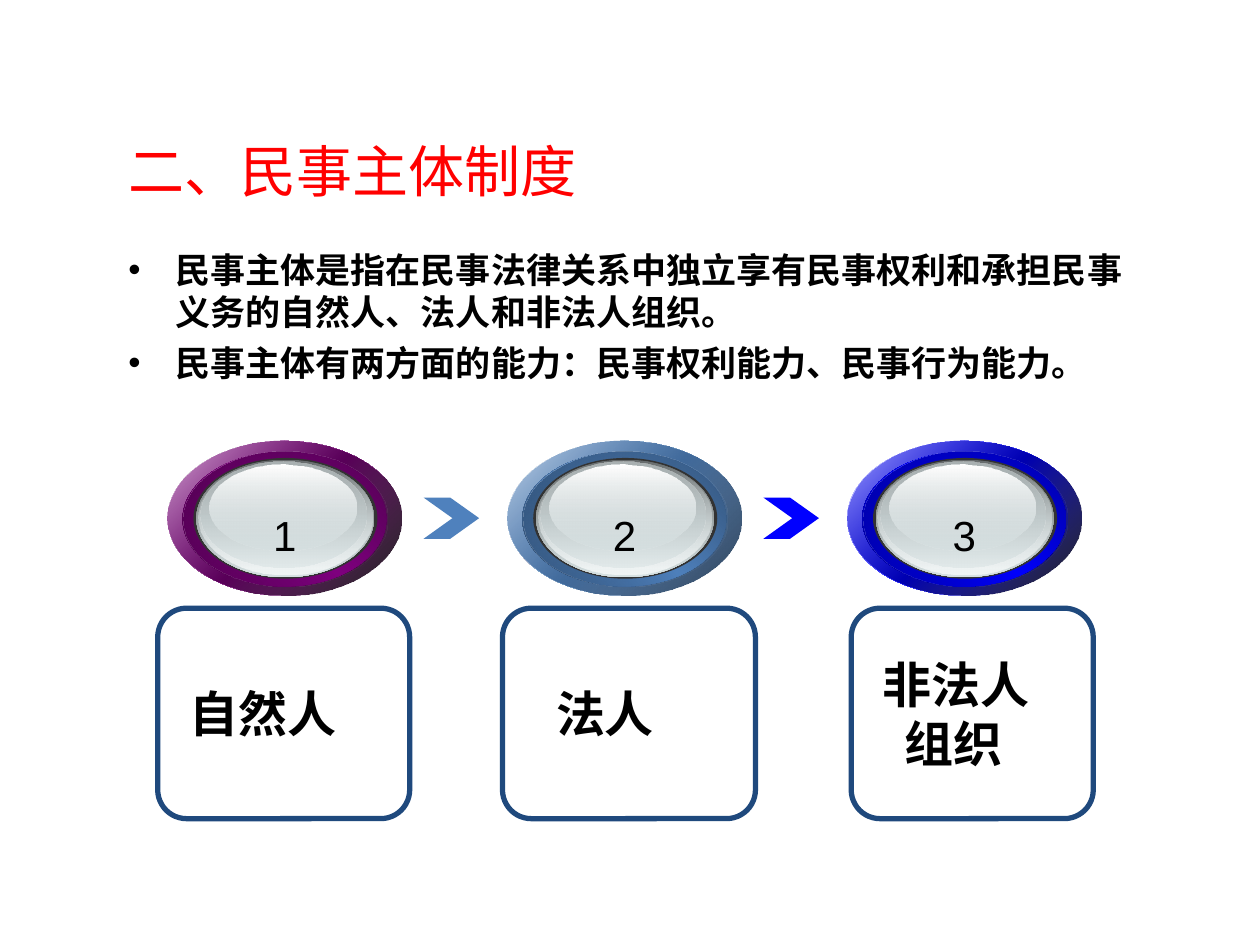
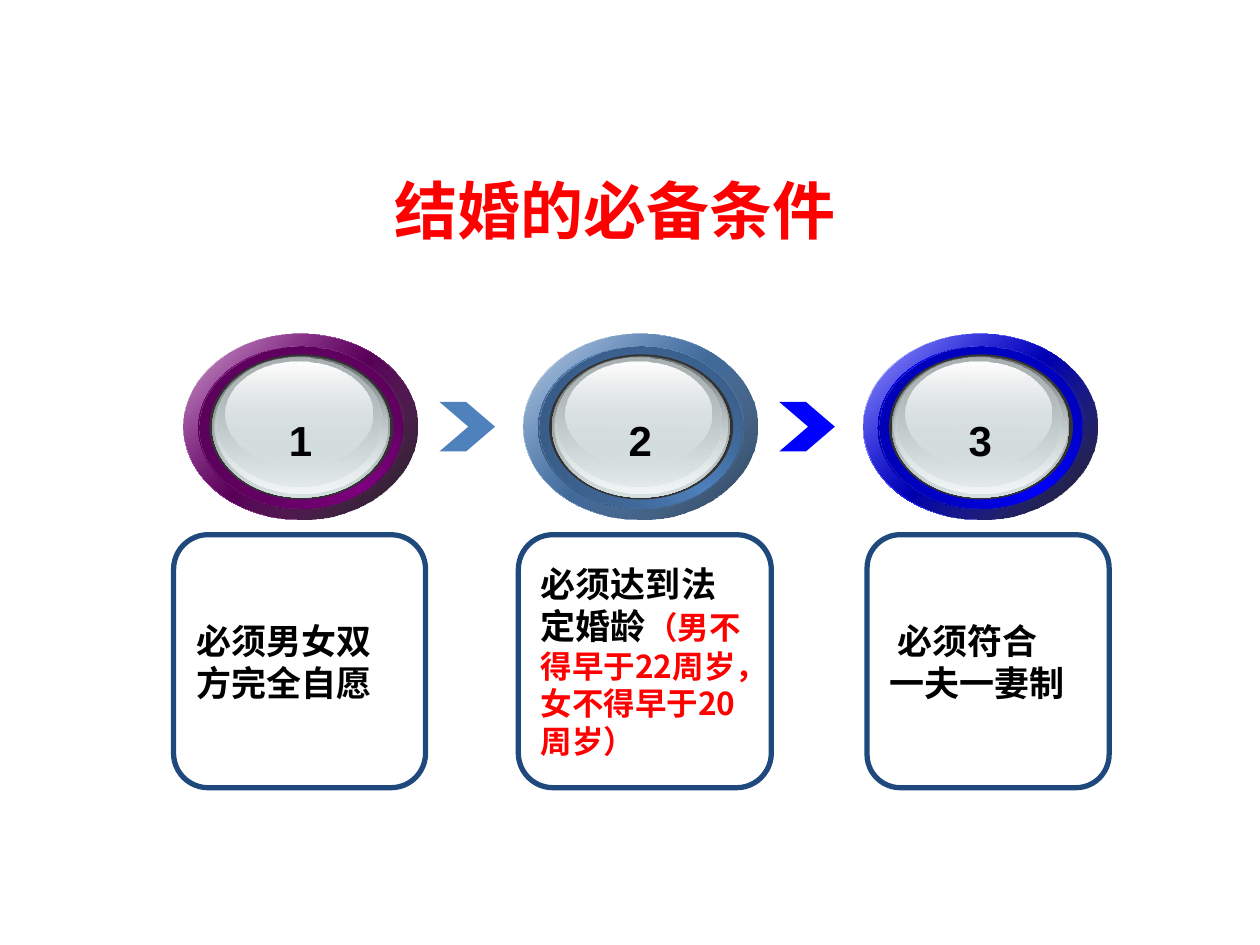
from lxml import etree
from pptx import Presentation
from pptx.dml.color import RGBColor
from pptx.enum.shapes import MSO_SHAPE
from pptx.enum.text import MSO_ANCHOR, PP_ALIGN
from pptx.oxml.ns import qn
from pptx.util import Cm, Pt

BLACK, RED, NAVY, RIM = "000000", "FF0000", "1F497D", "333333"
HEADING_FONT, BODY_FONT = "Arial", "Noto Sans CJK SC"

# Paragraph in a card: (left indent in cm, [(text, size, colour), ...])
SLIDES = [
    {
        "title": ("二、民事主体制度", 32, HEADING_FONT, False),
        "title_box": (2.34, 2.62, 9.55, 1.63),
        "bullets": [
            "民事主体是指在民事法律关系中独立享有民事权利和承担民事义务的自然人、法人和非法人组织。",
            "民事主体有两方面的能力：民事权利能力、民事行为能力。",
        ],
        "orbs": {"left": 3.38, "top": 8.89, "height": 3.12, "bold": False},
        "cards": [
            [(0.22, [("自然人", 28, BLACK)])],
            [(0.66, [("法人", 28, BLACK)])],
            [(0.22, [("非法人", 28, BLACK)]), (0.66, [("组织", 28, BLACK)])],
        ],
    },
    {
        "title": ("结婚的必备条件", 36, BODY_FONT, True),
        "title_box": (7.7, 3.33, 9.6, 2.18),
        "bullets": [],
        "orbs": {"left": 3.7, "top": 6.73, "height": 3.75, "bold": True},
        "cards": [
            [(0, [("必须男女双方完全自愿", 20, BLACK)])],
            [(0, [("必须达到法定婚龄", 20, BLACK),
                  ("（男不得早于22周岁，女不得早于20周岁）", 18, RED)])],
            [(0.16, [("必须符合", 20, BLACK)]), (0, [("一夫一妻制", 20, BLACK)])],
        ],
    },
]
BULLETS_BOX = (2.34, 4.88, 21.16, 3.38)

# base, outer shade end (colour, opacity), bevel edge, glow start
ORB_COLOURS = [
    ("800080", ("000000", 90), "450045", "510051"),
    ("4F81BD", ("253C57", 100), "2B4666", "325278"),
    ("0000FF", ("000000", 90), "00008A", "0000A2"),
]
ARROW_COLOURS = ["4F81BD", "0000FF"]
ORB_WIDTH, ORB_PITCH = 4.72, 6.85

# Horizontal values are in cm, vertical ones are shares of the orb height
RING = (0, 0, ORB_WIDTH, 1)
BEVEL = (0.3, 0.07, 4.11, 0.87)
GLOW = (0.33, 0.07, 4.11, 0.87)
CORE = (0.52, 0.11, 3.71, 0.78)
GLASS = [
    ((0.58, 0.12, 3.58, 0.76), [("636869", 100), ("D6E1E2", 100)]),
    ((0.62, 0.12, 3.5, 0.74), [("D6E1E2", 0), ("F1F5F5", 100)]),
    ((0.67, 0.13, 3.33, 0.69), [("AAB2B3", 100), ("D6E1E2", 48)]),
    ((0.85, 0.15, 2.95, 0.56), [("FFFFFF", 100), ("D6E1E2", 38)]),
]
ARROW = (5.16, 0.366, 1.12, 0.266)
ARROW_POINTS = [(0, 0), (0.48, 0), (1, 0.5), (0.48, 1), (0, 1), (0.52, 0.5)]
CARDS = [(-0.2, 1.08, 5.08, 1.36), (-0.1, 1.08, 5.1, 1.36), (0.08, 1.08, 4.88, 1.36)]
NUMBER_TOP, NUMBER_WIDTH, NUMBER_HEIGHT = 0.4, 0.97, 1.27


def rgb(colour):
    return RGBColor.from_string(colour)


def style_font(run, size, colour, name=BODY_FONT, bold=True):
    font = run.font
    font.size, font.bold, font.name = Pt(size), bold, name
    font.color.rgb = rgb(colour)
    east_asian = etree.Element(qn("a:ea"), typeface=name)
    run._r.get_or_add_rPr().find(qn("a:latin")).addnext(east_asian)


def indent(paragraph, left, first_line=0):
    properties = paragraph._p.get_or_add_pPr()
    properties.set("marL", str(Cm(left)))
    properties.set("indent", str(Cm(first_line)))
    return properties


def add_text(slide, box, text, size, colour, name, bold, wrap=True):
    text_frame = slide.shapes.add_textbox(*map(Cm, box)).text_frame
    text_frame.word_wrap = wrap
    text_frame.text = text
    for paragraph in text_frame.paragraphs:
        style_font(paragraph.runs[0], size, colour, name, bold)
    return text_frame


def add_bullets(slide, bullets):
    text_frame = add_text(slide, BULLETS_BOX, "\n".join(bullets), 20, BLACK, BODY_FONT, True)
    for number, paragraph in enumerate(text_frame.paragraphs):
        properties = indent(paragraph, 0.95, -0.95)
        etree.SubElement(properties, qn("a:buFont"), typeface="Arial")
        etree.SubElement(properties, qn("a:buChar"), char="•")
        if number:
            paragraph.space_before = Pt(5)


def fill_gradient(shape, stops, angle):
    """Spread (colour, opacity) stops evenly; the angle runs clockwise."""
    shape.fill.gradient()
    shape.fill.gradient_angle = (360 - angle) % 360
    stop_list = shape._element.spPr.find(qn("a:gradFill")).find(qn("a:gsLst"))
    for stop in list(stop_list):
        stop_list.remove(stop)
    for number, (colour, opacity) in enumerate(stops):
        position = 100000 * number // (len(stops) - 1)
        stop = etree.SubElement(stop_list, qn("a:gs"), pos=str(position))
        value = etree.SubElement(stop, qn("a:srgbClr"), val=colour)
        if opacity < 100:
            etree.SubElement(value, qn("a:alpha"), val=str(opacity * 1000))


def place(part, number, orbs):
    """Turn a part of the given orb into left, top, width, height in cm."""
    left, top, width, height = part
    return (orbs["left"] + number * ORB_PITCH + left, orbs["top"] + top * orbs["height"],
            width, height * orbs["height"])


def add_ellipse(slide, box, stops, angle=90):
    shape = slide.shapes.add_shape(MSO_SHAPE.OVAL, *map(Cm, box))
    shape.shadow.inherit = False
    shape.line.fill.background()
    if len(stops) == 1:
        shape.fill.solid()
        shape.fill.fore_color.rgb = rgb(stops[0][0])
    else:
        fill_gradient(shape, stops, angle)


def add_orb(slide, number, orbs):
    base, shade, edge, glow = ORB_COLOURS[number]
    layers = [
        (RING, [("FFFFFF", 100), (base, 100), ("FFFFFF", 100)], 45),
        (RING, [(base, 32), shade], 45),
        (BEVEL, [(edge, 100), (base, 100), (edge, 100)], 315),
        (GLOW, [(glow, 100), (base, 0)], 45),
        (CORE, [(RIM, 100)], 0),
    ] + [(part, stops, 90) for part, stops in GLASS]
    for part, stops, angle in layers:
        add_ellipse(slide, place(part, number, orbs), stops, angle)
    left, top, _, _ = place(((ORB_WIDTH - NUMBER_WIDTH) / 2, NUMBER_TOP, 0, 0), number, orbs)
    text_frame = add_text(slide, (left, top, NUMBER_WIDTH, NUMBER_HEIGHT), str(number + 1),
                          24, BLACK, HEADING_FONT, orbs["bold"], wrap=False)
    text_frame.paragraphs[0].alignment = PP_ALIGN.CENTER


def add_arrow(slide, number, orbs):
    left, top, width, height = place(ARROW, number, orbs)
    points = [(Cm(left + x * width), Cm(top + y * height)) for x, y in ARROW_POINTS]
    builder = slide.shapes.build_freeform(*points[0])
    builder.add_line_segments(points[1:])
    arrow = builder.convert_to_shape()
    arrow.shadow.inherit = False
    arrow.fill.solid()
    arrow.fill.fore_color.rgb = rgb(ARROW_COLOURS[number])
    arrow.line.fill.background()


def add_card(slide, number, orbs, paragraphs):
    box = place(CARDS[number], number, orbs)
    card = slide.shapes.add_shape(MSO_SHAPE.ROUNDED_RECTANGLE, *map(Cm, box))
    card.adjustments[0] = 0.137
    card.shadow.inherit = False
    card.fill.background()
    card.line.color.rgb = rgb(NAVY)
    card.line.width = Pt(3)
    text_frame = card.text_frame
    text_frame.word_wrap = True
    text_frame.vertical_anchor = MSO_ANCHOR.MIDDLE
    for position, (left, runs) in enumerate(paragraphs):
        paragraph = text_frame.add_paragraph() if position else text_frame.paragraphs[0]
        paragraph.alignment = PP_ALIGN.LEFT
        indent(paragraph, left)
        for text, size, colour in runs:
            run = paragraph.add_run()
            run.text = text
            style_font(run, size, colour)


def build_slide(presentation, content):
    slide = presentation.slides.add_slide(presentation.slide_layouts[6])
    text, size, name, bold = content["title"]
    add_text(slide, content["title_box"], text, size, RED, name, bold)
    if content["bullets"]:
        add_bullets(slide, content["bullets"])
    orbs = content["orbs"]
    for number, paragraphs in enumerate(content["cards"]):
        add_card(slide, number, orbs, paragraphs)
        add_orb(slide, number, orbs)
    for number in range(len(ARROW_COLOURS)):
        add_arrow(slide, number, orbs)


def main():
    presentation = Presentation()
    presentation.slide_width, presentation.slide_height = Cm(25.4), Cm(19.05)
    for content in SLIDES:
        build_slide(presentation, content)
    presentation.save("out.pptx")


if __name__ == "__main__":
    main()
